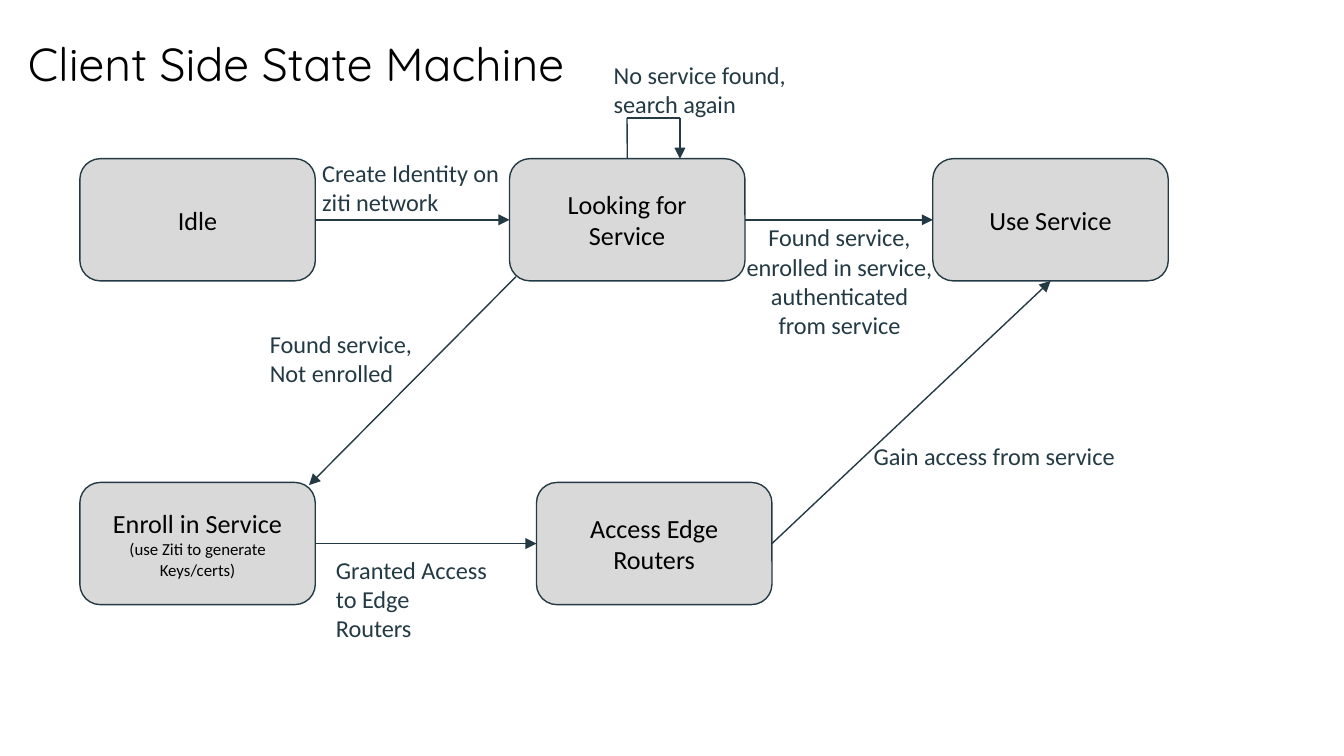
"""Build the client side state machine slide."""
from lxml.etree import SubElement
from pptx import Presentation
from pptx.dml.color import RGBColor
from pptx.enum.shapes import MSO_CONNECTOR, MSO_SHAPE
from pptx.enum.text import MSO_ANCHOR, MSO_AUTO_SIZE, PP_ALIGN
from pptx.oxml.ns import qn
from pptx.util import Cm, Pt

BLACK = RGBColor(0x00, 0x00, 0x00)
SLATE = RGBColor(0x23, 0x3A, 0x44)
GREY = RGBColor(0xD9, 0xD9, 0xD9)
BOX_WIDTH, BOX_HEIGHT = 4.45, 2.31
TOP_ROW, BOTTOM_ROW = 3, 9.12
TOP, LEFT, BOTTOM, RIGHT = range(4)


def write_text(shape, paragraphs, color, alignment, anchor, font_name="Calibri"):
    frame = shape.text_frame
    frame.word_wrap = True
    frame.auto_size = MSO_AUTO_SIZE.NONE
    frame.vertical_anchor = anchor
    frame.margin_left = frame.margin_right = Cm(0.25)
    frame.margin_top = frame.margin_bottom = Cm(0.25)
    for index, runs in enumerate(paragraphs):
        paragraph = frame.add_paragraph() if index else frame.paragraphs[0]
        paragraph.alignment = alignment
        for text, size in runs:
            run = paragraph.add_run()
            run.text = text
            run.font.name = font_name
            run.font.size = Pt(size)
            run.font.color.rgb = color


def add_line(start, end, arrow=True):
    connector = slide.shapes.add_connector(
        MSO_CONNECTOR.STRAIGHT, *[Cm(value) for value in start + end])
    connector.line.color.rgb = SLATE
    connector.line.width = Pt(0.75)
    if arrow:
        SubElement(connector.line._get_or_add_ln(), qn("a:tailEnd"), type="triangle")
    SubElement(connector._element.spPr, qn("a:effectLst"))
    return connector


presentation = Presentation()
presentation.slide_width, presentation.slide_height = Cm(25.4), Cm(14.29)
slide = presentation.slides.add_slide(presentation.slide_layouts[5])

title = slide.shapes.title
title.left, title.top, title.width, title.height = Cm(0.1), Cm(0.03), Cm(11), Cm(2.31)
write_text(title, [[("Client Side State Machine", 24.8)]], BLACK,
           PP_ALIGN.CENTER, MSO_ANCHOR.MIDDLE, "Quicksand")

states = {
    "idle": (1.51, TOP_ROW, [("Idle", 14)]),
    "looking": (9.63, TOP_ROW, [("Looking for Service", 14)]),
    "use": (17.63, TOP_ROW, [("Use Service", 14)]),
    "enroll": (1.51, BOTTOM_ROW, [("Enroll in Service ", 14),
                                  ("(use Ziti to generate Keys/certs)", 9)]),
    "access": (10.14, BOTTOM_ROW, [("Access Edge Routers", 14)]),
}
boxes = {}
for name, (left, top, runs) in states.items():
    box = slide.shapes.add_shape(MSO_SHAPE.ROUNDED_RECTANGLE, Cm(left), Cm(top),
                                 Cm(BOX_WIDTH), Cm(BOX_HEIGHT))
    box.shadow.inherit = False
    box.fill.solid()
    box.fill.fore_color.rgb = GREY
    box.line.color.rgb = SLATE
    box.line.width = Pt(0.75)
    write_text(box, [runs], BLACK, PP_ALIGN.CENTER, MSO_ANCHOR.MIDDLE)
    boxes[name] = box

transitions = [
    ("idle", "looking", LEFT),
    ("looking", "use", LEFT),
    ("enroll", "access", LEFT),
    ("access", "use", BOTTOM),
]
for source, target, side in transitions:
    arrow = add_line((0, 0), (1, 1))
    arrow.begin_connect(boxes[source], RIGHT)
    arrow.end_connect(boxes[target], side)

add_line((9.75, 5.23), (5.84, 9.17))

loop_left, loop_right, loop_top = 11.85, 12.85, 2.23
loop_start = add_line((loop_left, TOP_ROW), (loop_left, loop_top), arrow=False)
loop_start.begin_connect(boxes["looking"], TOP)
add_line((loop_left, loop_top), (loop_right, loop_top), arrow=False)
add_line((loop_right, loop_top), (loop_right, TOP_ROW))

labels = [
    (5.84, 2.74, 4.29, 0.89, PP_ALIGN.LEFT, ["Create Identity on ziti network"]),
    (13.82, 3.96, 4.09, 0.79, PP_ALIGN.CENTER,
     ["Found service, enrolled in service, authenticated from service"]),
    (4.85, 5.97, 4.45, 0.51, PP_ALIGN.LEFT, ["Found service,", "Not enrolled"]),
    (11.35, 0.89, 10.9, 1.63, PP_ALIGN.LEFT, ["No service found,", "search again"]),
    (6.1, 10.24, 3.4, 2.18, PP_ALIGN.LEFT, ["Granted Access to Edge Routers"]),
    (16.26, 8.1, 8.64, 1.07, PP_ALIGN.LEFT, ["Gain access from service"]),
]
for left, top, width, height, alignment, lines in labels:
    label = slide.shapes.add_textbox(Cm(left), Cm(top), Cm(width), Cm(height))
    write_text(label, [[(line, 13)] for line in lines], SLATE, alignment, MSO_ANCHOR.TOP)

presentation.save("out.pptx")
